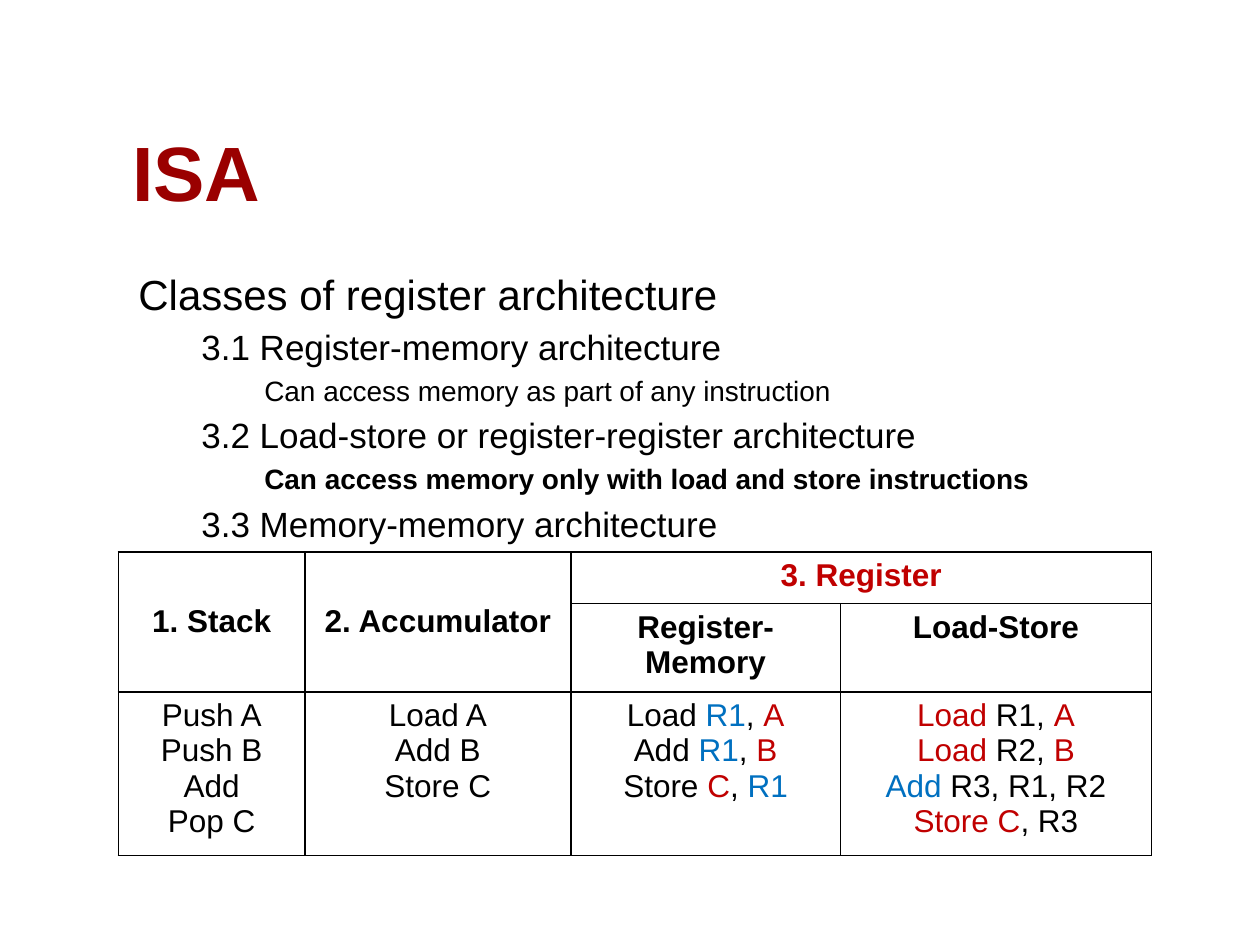
import pptx
import pptx.util
import pptx.dml.color
import pptx.enum.text
import pptx.oxml
import pptx.oxml.ns
from pptx.util import Inches

COLORS = {"title": "9A0000", "text": "000000", "red": "C00000", "blue": "0070C0"}
FONT = "Arial"
ALIGN = pptx.enum.text.PP_ALIGN
ANCHOR = pptx.enum.text.MSO_ANCHOR

OUTLINE = [
    (0, "Classes of register architecture", False),
    (1, "3.1 Register-memory architecture", False),
    (2, "Can access memory as part of any instruction", False),
    (1, "3.2 Load-store or register-register architecture", False),
    (2, "Can access memory only with load and store instructions", True),
    (1, "3.3 Memory-memory architecture", False),
]
LEVELS = [
    {"size": 24, "margin": 0.38, "hanging": 0.38, "before": 0},
    {"size": 20, "margin": 0.81, "hanging": 0.31, "before": 4},
    {"size": 16, "margin": 1.25, "hanging": 0.25, "before": 3.2},
]

COLUMNS = [1.48, 2.11, 2.14, 2.47]
ROWS = [0.41, 0.7, 1.3]
HEADERS = {
    (0, 0): ("1. Stack", "text"),
    (0, 1): ("2. Accumulator", "text"),
    (0, 2): ("3. Register", "red"),
    (1, 2): ("Register-Memory", "text"),
    (1, 3): ("Load-Store", "text"),
}
MERGES = [((0, 0), (1, 0)), ((0, 1), (1, 1)), ((0, 2), (0, 3))]
PROGRAMS = [
    [[("Push A", "text")], [("Push B", "text")], [("Add", "text")], [("Pop C", "text")]],
    [[("Load A", "text")], [("Add B", "text")], [("Store C", "text")]],
    [
        [("Load ", "text"), ("R1", "blue"), (", ", "text"), ("A", "red")],
        [("Add ", "text"), ("R1", "blue"), (", ", "text"), ("B", "red")],
        [("Store ", "text"), ("C", "red"), (", ", "text"), ("R1", "blue")],
    ],
    [
        [("Load", "red"), (" R1, ", "text"), ("A", "red")],
        [("Load", "red"), (" R2, ", "text"), ("B", "red")],
        [("Add", "blue"), (" R3, R1, R2", "text")],
        [("Store C", "red"), (", R3", "text")],
    ],
]


def add_span(para, text, size, color, bold=False):
    span = para.add_run()
    span.text = text
    span.font.name = FONT
    span.font.size = pptx.util.Pt(size)
    span.font.bold = bold
    span.font.color.rgb = pptx.dml.color.RGBColor.from_string(COLORS[color])


def next_para(frame, index):
    return frame.paragraphs[0] if index == 0 else frame.add_paragraph()


def place_title(page, left, top, width, height):
    title = page.shapes.title
    title.left, title.top = Inches(left), Inches(top)
    title.width, title.height = Inches(width), Inches(height)
    frame = title.text_frame
    frame.auto_size = pptx.enum.text.MSO_AUTO_SIZE.NONE
    frame.vertical_anchor = ANCHOR.BOTTOM
    para = frame.paragraphs[0]
    para.alignment = ALIGN.LEFT
    add_span(para, "ISA", 44, "title", True)


def place_outline(page, left, top, width, height):
    box = page.shapes.add_textbox(Inches(left), Inches(top), Inches(width), Inches(height))
    frame = box.text_frame
    frame.word_wrap = True
    for index, (level, text, bold) in enumerate(OUTLINE):
        style = LEVELS[level]
        para = next_para(frame, index)
        para.level = level
        para.space_before = pptx.util.Pt(style["before"])
        properties = para._p.get_or_add_pPr()
        properties.set("marL", str(Inches(style["margin"])))
        properties.set("indent", str(-Inches(style["hanging"])))
        add_span(para, text, style["size"], "text", bold)


def format_cell(cell):
    properties = cell._tc.get_or_add_tcPr()
    for side in ("lnL", "lnR", "lnT", "lnB"):
        properties.append(pptx.oxml.parse_xml(
            f'<a:{side} {pptx.oxml.ns.nsdecls("a")} w="{pptx.util.Pt(1)}"><a:solidFill>'
            f'<a:srgbClr val="{COLORS["text"]}"/></a:solidFill></a:{side}>'))
    cell.fill.background()


def fill_cell(cell, lines, bold):
    for index, line in enumerate(lines):
        para = next_para(cell.text_frame, index)
        para.alignment = ALIGN.CENTER
        for text, color in line:
            add_span(para, text, 18, color, bold)


def place_table(page, left, top):
    table = page.shapes.add_table(
        len(ROWS), len(COLUMNS), Inches(left), Inches(top),
        Inches(sum(COLUMNS)), Inches(sum(ROWS))).table
    table.first_row = False
    table.horz_banding = False
    for column, width in zip(table.columns, COLUMNS):
        column.width = Inches(width)
    for row, height in zip(table.rows, ROWS):
        row.height = Inches(height)
    for cell in table.iter_cells():
        format_cell(cell)
    for first, last in MERGES:
        table.cell(*first).merge(table.cell(*last))
    for position, header in HEADERS.items():
        fill_cell(table.cell(*position), [[header]], True)
    for column in (0, 1):
        table.cell(0, column).vertical_anchor = ANCHOR.MIDDLE
    for column, lines in enumerate(PROGRAMS):
        fill_cell(table.cell(2, column), lines, False)


def main():
    deck = pptx.Presentation()
    deck.slide_width, deck.slide_height = Inches(10), Inches(7.5)
    page = deck.slides.add_slide(deck.slide_layouts[5])
    place_title(page, 0.95, 0.94, 8.93, 0.83)
    place_outline(page, 1, 2.08, 8.87, 4.58)
    place_table(page, 0.94, 4.38)
    deck.save("out.pptx")


if __name__ == "__main__":
    main()
